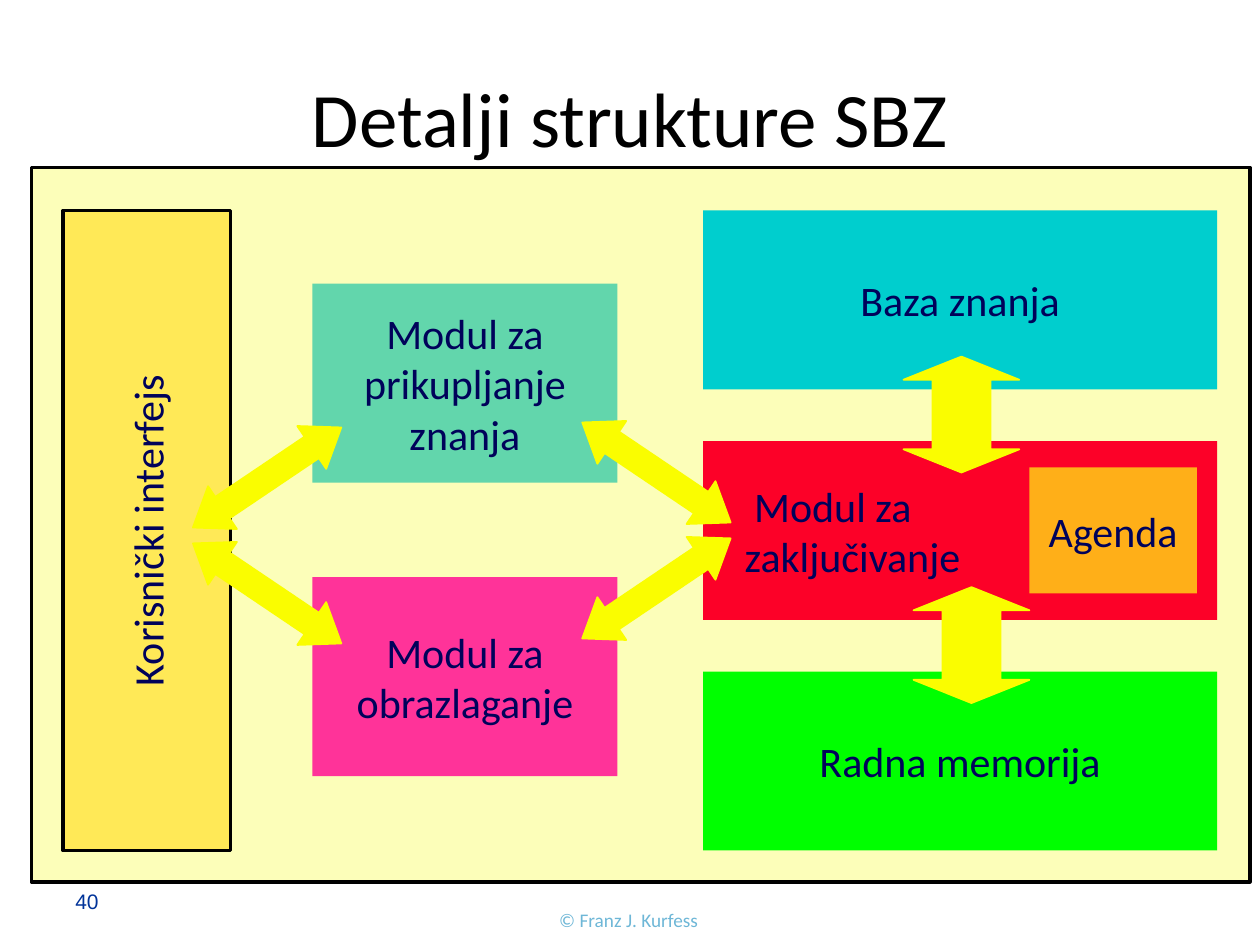
from pptx import Presentation
from pptx.dml.color import RGBColor
from pptx.enum.shapes import MSO_SHAPE
from pptx.enum.text import MSO_ANCHOR, PP_ALIGN
from pptx.util import Inches, Pt

THEME = {
    "font": "Calibri", "number_font": "Arial",
    "title_size": 44, "label_size": 24, "number_size": 12, "credit_size": 11,
    "title": "000000", "label": "00025A", "number": "003399", "credit": "6EB7D7",
    "outline": "000000", "arrow": "FAFD00", "panel": "FCFEB9",
    "interface": "FFE957", "acquisition": "62D6AC", "explanation": "FF3399",
    "knowledge": "00CECE", "inference": "FC0128", "memory": "00FF00",
    "agenda": "FFAF18",
}

# Content: text, colour name
TITLE = "Detalji strukture SBZ"
PAGE_NUMBER = "40"
CREDIT = "© Franz J. Kurfess"
INTERFACE = "Korisnički interfejs"
AGENDA = "Agenda"
MODULES = [("Modul za prikupljanje znanja", "acquisition"),
           ("Modul za obrazlaganje", "explanation")]
STORES = [("Baza znanja", "knowledge"),
          (" Modul za\nzaključivanje", "inference"),
          ("Radna memorija", "memory")]

# Layout in inches
PANEL = (0.25, 1.33, 9.67, 5.67)
TOP = 1.67
INTERFACE_BOX = (0.5, TOP, 1.33, 5.08)
AGENDA_BOX = (8.17, 3.71, 1.33, 1)
MODULE_LEFT, MODULE_TOP, MODULE_SIZE, MODULE_STEP = 2.48, 2.25, (2.42, 1.58), 2.33
STORE_LEFT, STORE_SIZE, STORE_STEP = 5.58, (4.08, 1.42), 1.83
INFERENCE_INSET = 0.33

# Arrows: centre x, centre y, rotation
VERTICAL_ARROWS = [(7.63, 3.29, 90), (7.71, 5.12, 90)]
DIAGONAL_ARROWS = [(5.21, 3.75, 34), (5.21, 4.67, -34),
                   (2.12, 3.79, -34), (2.12, 4.71, 34)]


def color(name):
    return RGBColor.from_string(THEME[name])


def write_text(shape, text, size="label_size", font="font", fill="label",
               align=PP_ALIGN.CENTER, inset=0, left_inset=None):
    frame = shape.text_frame
    frame.word_wrap = True
    frame.vertical_anchor = MSO_ANCHOR.MIDDLE
    frame.margin_top = frame.margin_bottom = frame.margin_right = Inches(inset)
    frame.margin_left = Inches(inset if left_inset is None else left_inset)
    frame.text = text
    for paragraph in frame.paragraphs:
        paragraph.alignment = align
        paragraph.font.size = Pt(THEME[size])
        paragraph.font.name = THEME[font]
        paragraph.font.color.rgb = color(fill)


def add_text(slide, box, text, **text_format):
    write_text(slide.shapes.add_textbox(*map(Inches, box)), text, **text_format)


def add_block(slide, box, fill, line=None, line_width=2, kind=MSO_SHAPE.RECTANGLE):
    shape = slide.shapes.add_shape(kind, *map(Inches, box))
    shape.shadow.inherit = False
    shape.fill.solid()
    shape.fill.fore_color.rgb = color(fill)
    if line:
        shape.line.color.rgb = color(line)
        shape.line.width = Pt(line_width)
    else:
        shape.line.fill.background()
    return shape


def add_arrows(slide, arrows, width, height, head):
    for center_x, center_y, rotation in arrows:
        box = (center_x - width / 2, center_y - height / 2, width, height)
        arrow = add_block(slide, box, "arrow", line="arrow", line_width=1,
                          kind=MSO_SHAPE.LEFT_RIGHT_ARROW)
        arrow.adjustments[0] = 0.5
        arrow.adjustments[1] = head
        arrow.rotation = rotation


def main():
    presentation = Presentation()
    presentation.slide_width = Inches(10)
    presentation.slide_height = Inches(7.5)
    slide = presentation.slides.add_slide(presentation.slide_layouts[6])

    # Title and footer
    add_text(slide, (0.5, 0.3, 9, 1.25), TITLE, size="title_size", fill="title", inset=0.05)
    add_text(slide, (0.5, 6.95, 2.33, 0.4), PAGE_NUMBER, size="number_size",
             font="number_font", fill="number", align=PP_ALIGN.LEFT,
             inset=0.05, left_inset=0.1)
    add_text(slide, (3.36, 7.17, 3.26, 0.26), CREDIT, size="credit_size",
             fill="credit", inset=0.04)

    # Panel and user interface with upward text
    add_block(slide, PANEL, "panel", line="outline")
    interface = add_block(slide, INTERFACE_BOX, "interface", line="outline")
    write_text(interface, INTERFACE)
    interface.text_frame._txBody.bodyPr.set("vert", "vert270")

    # Knowledge base, inference and working memory
    for row, (text, fill) in enumerate(STORES):
        store = add_block(slide, (STORE_LEFT, TOP + row * STORE_STEP, *STORE_SIZE), fill)
        if fill == "inference":
            write_text(store, text, align=PP_ALIGN.LEFT, left_inset=INFERENCE_INSET)
        else:
            write_text(store, text)
    write_text(add_block(slide, AGENDA_BOX, "agenda"), AGENDA)

    # Acquisition and explanation modules
    for row, (text, fill) in enumerate(MODULES):
        box = (MODULE_LEFT, MODULE_TOP + row * MODULE_STEP, *MODULE_SIZE)
        write_text(add_block(slide, box, fill), text, inset=0)

    # Two-way arrows
    add_arrows(slide, VERTICAL_ARROWS, 0.92, 0.92, head=0.2)
    add_arrows(slide, DIAGONAL_ARROWS, 1.42, 0.41, head=0.69)

    presentation.save("out.pptx")


if __name__ == "__main__":
    main()
